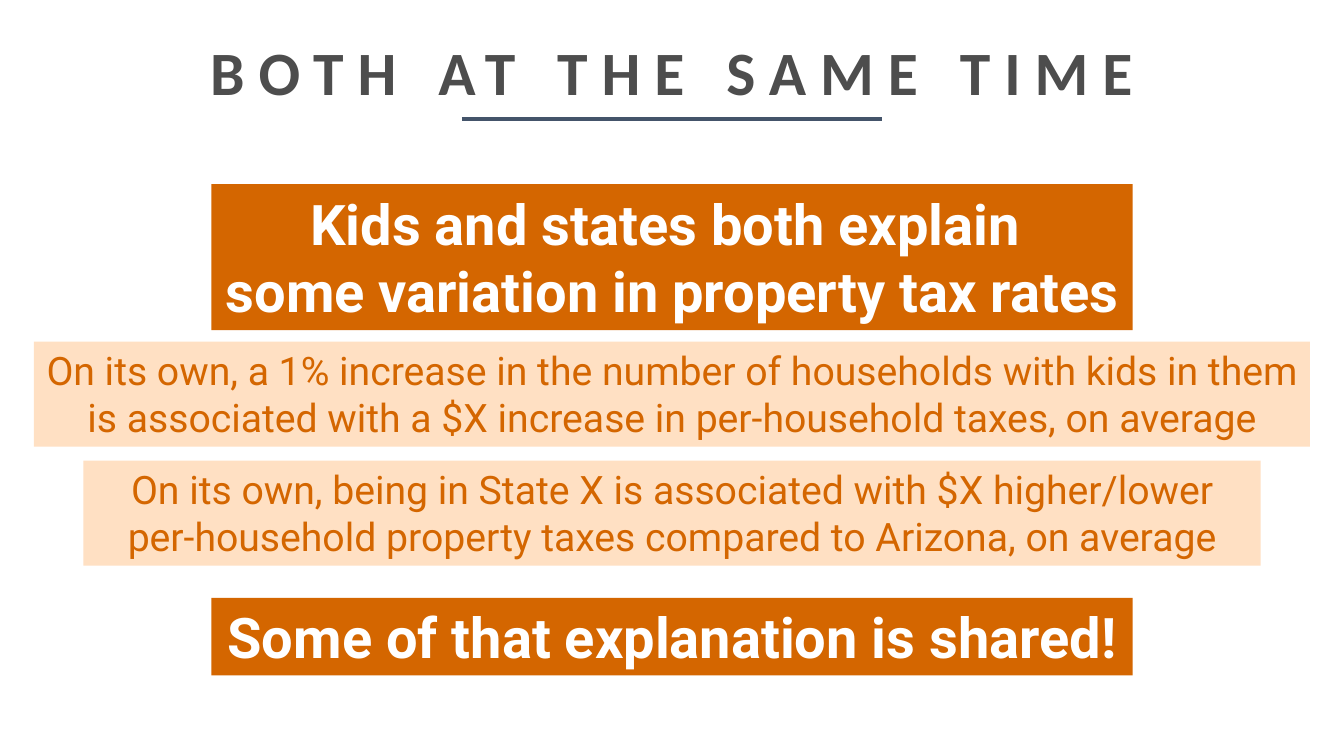
from dataclasses import dataclass

from lxml.etree import SubElement
from pptx import Presentation
from pptx.dml.color import RGBColor
from pptx.enum.shapes import MSO_CONNECTOR, MSO_SHAPE
from pptx.enum.text import MSO_ANCHOR, MSO_AUTO_SIZE, PP_ALIGN
from pptx.oxml.ns import qn
from pptx.util import Pt


@dataclass(frozen=True)
class Theme:
    grey: RGBColor = RGBColor.from_string("4D4D4D")
    navy: RGBColor = RGBColor.from_string("44546A")
    orange: RGBColor = RGBColor.from_string("D46600")
    peach: RGBColor = RGBColor.from_string("FFE0C3")
    white: RGBColor = RGBColor.from_string("FFFFFF")
    title_font: str = "Calibri"
    body_font: str = "Roboto"
    title_size: int = 44
    claim_size: int = 40
    detail_size: int = 28


THEME = Theme()
SLIDE_WIDTH, SLIDE_HEIGHT = 960, 540

# Fill and type of the two kinds of banner
CLAIM = (THEME.orange, {"name": THEME.body_font, "size": Pt(THEME.claim_size), "bold": True}, THEME.white)
DETAIL = (THEME.peach, {"name": THEME.body_font, "size": Pt(THEME.detail_size), "bold": False}, THEME.orange)

# Style, top, width, height and text; every banner is centred on the slide
BANNERS = [
    (CLAIM, 131.5, 658, 104.4,
     "Kids and states both explain \vsome variation in property tax rates"),
    (DETAIL, 244, 911.5, 75,
     "On its own, a 1% increase in the number of households with kids in them "
     "is associated with a $X increase in per-household taxes, on average"),
    (DETAIL, 329, 841, 75,
     "On its own, being in State X is associated with $X higher/lower "
     "per-household property taxes compared to Arizona, on average"),
    (CLAIM, 427, 658, 55.5, "Some of that explanation is shared!"),
]


def set_attributes(target, values):
    for name, value in values.items():
        setattr(target, name, value)


def format_paragraph(paragraph, font_values, color):
    paragraph.alignment = PP_ALIGN.CENTER
    for run in paragraph.runs:
        set_attributes(run.font, font_values)
        run.font.color.rgb = color


def add_heading(slide, left, top, width, height):
    # Letter-spaced title
    title = slide.shapes.title
    set_attributes(title, {"left": Pt(left), "top": Pt(top), "width": Pt(width), "height": Pt(height)})
    frame = title.text_frame
    frame.text = "BOTH AT THE SAME TIME"
    set_attributes(frame, {"word_wrap": True, "auto_size": MSO_AUTO_SIZE.NONE,
                           "vertical_anchor": MSO_ANCHOR.MIDDLE})
    paragraph = frame.paragraphs[0]
    paragraph.line_spacing = 1.1
    format_paragraph(paragraph, {"name": THEME.title_font, "size": Pt(THEME.title_size), "bold": True},
                     THEME.grey)
    paragraph.runs[0].font._element.set("spc", "1000")

    # Centred rule below the title
    rule_width, rule_top = 300, top + height + 0.75
    rule_left = left + (width - rule_width) / 2
    rule = slide.shapes.add_connector(MSO_CONNECTOR.STRAIGHT, Pt(rule_left), Pt(rule_top),
                                      Pt(rule_left + rule_width), Pt(rule_top))
    rule.line.color.rgb = THEME.navy
    rule.line.width = Pt(3)
    SubElement(rule._element.spPr, qn("a:effectLst"))


def add_banner(slide, style, left, top, width, height, text):
    fill_color, font_values, font_color = style
    banner = slide.shapes.add_shape(MSO_SHAPE.RECTANGLE, Pt(left), Pt(top), Pt(width), Pt(height))
    banner.shadow.inherit = False
    banner.fill.solid()
    banner.fill.fore_color.rgb = fill_color
    banner.line.fill.background()
    frame = banner.text_frame
    frame.text = text
    set_attributes(frame, {"word_wrap": True, "auto_size": MSO_AUTO_SIZE.SHAPE_TO_FIT_TEXT,
                           "vertical_anchor": MSO_ANCHOR.TOP})
    format_paragraph(frame.paragraphs[0], font_values, font_color)


def main():
    presentation = Presentation()
    presentation.slide_width, presentation.slide_height = Pt(SLIDE_WIDTH), Pt(SLIDE_HEIGHT)
    slide = presentation.slides.add_slide(presentation.slide_layouts[5])
    add_heading(slide, 66, 12.25, SLIDE_WIDTH - 2 * 66, 72)
    for style, top, width, height, text in BANNERS:
        add_banner(slide, style, (SLIDE_WIDTH - width) / 2, top, width, height, text)
    presentation.save("out.pptx")


if __name__ == "__main__":
    main()
